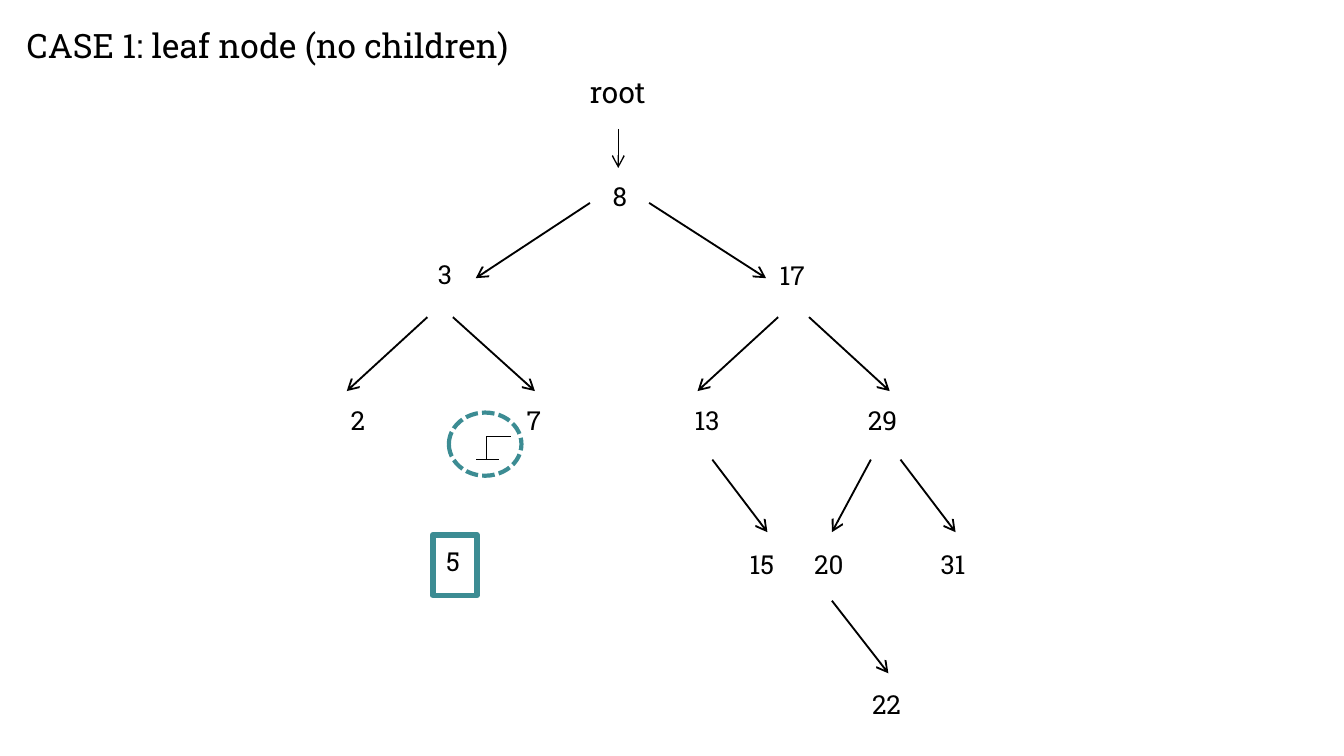
from pptx import Presentation
from pptx.dml.color import RGBColor
from pptx.enum.dml import MSO_LINE
from pptx.enum.shapes import MSO_CONNECTOR, MSO_SHAPE
from pptx.enum.text import MSO_ANCHOR, PP_ALIGN
from pptx.oxml.ns import qn
from pptx.util import Inches, Pt
from lxml.etree import SubElement

COLORS = {"ink": "000000", "accent": "3C8C93"}
FONT = "Roboto Slab"
WIDTH = 10
HEIGHT = WIDTH * 9 / 16
COLUMNS = 100
ROWS = COLUMNS * 9 / 16

NODE_LEVELS = [
    (12.9, [("8", 44.6, 2.2)]),
    (18.7, [("3", 31.6, 2.2)]),
    (29.6, [("2", 25.1, 2.2), ("7", 38.2, 2.2), ("13", 50.7, 5.5), ("29", 63.6, 6.1)]),
    (40.1, [("5", 32.2, 2.2)]),
    (40.3, [("15", 54.8, 6.1), ("20", 59.6, 5.5), ("31", 69, 6.1)]),
    (50.7, [("22", 63.9, 5.5)]),
]
EDGE_LEVELS = [
    (15.1, 20.7, [(43.9, 35.4), (48.3, 57)]),
    (23.6, 29.1, [(31.8, 25.8), (33.7, 39.8), (57.9, 51.9), (60.2, 66.2)]),
    (34.2, 39.6, [(53, 57.1), (64.8, 61.9), (67, 71.1)]),
    (44.7, 50.1, [(61.9, 66.1)]),
]
STEP_LINES = [
    (38, 32.5, 36.2, 32.5),
    (37.1, 34.2, 35.4, 34.2),
    (36.2, 32.5, 36.2, 34.2),
]


class TreeSlide:
    def __init__(self, presentation):
        self.slide = presentation.slides.add_slide(presentation.slide_layouts[6])
        self.column = presentation.slide_width / COLUMNS
        self.row = presentation.slide_height / ROWS

    def place(self, left, top, width, height):
        return (round(left * self.column), round(top * self.row),
                round(width * self.column), round(height * self.row))

    def label(self, text, left, top, width, size=14, height=5.7, margin=0.1):
        box = self.slide.shapes.add_textbox(*self.place(left, top, width, height))
        frame = box.text_frame
        frame.text = text
        frame.word_wrap = True
        frame.vertical_anchor = MSO_ANCHOR.TOP
        frame.margin_left = frame.margin_right = Inches(margin)
        paragraph = frame.paragraphs[0]
        paragraph.alignment = PP_ALIGN.LEFT
        font = paragraph.runs[0].font
        font.name = FONT
        font.size = Pt(size)
        font.color.rgb = RGBColor.from_string(COLORS["ink"])

    def line(self, start_x, start_y, end_x, end_y, weight=1, arrow=True, shapes=None):
        shapes = self.slide.shapes if shapes is None else shapes
        points = self.place(start_x, start_y, end_x, end_y)
        connector = shapes.add_connector(MSO_CONNECTOR.STRAIGHT, *points)
        connector.line.width = Pt(weight)
        connector.line.color.rgb = RGBColor.from_string(COLORS["ink"])
        properties = connector._element.spPr
        if arrow:
            SubElement(properties.find(qn("a:ln")), qn("a:tailEnd"), type="arrow")
        SubElement(properties, qn("a:effectLst"))

    def outline(self, kind, left, top, width, height, weight, dash=None):
        shape = self.slide.shapes.add_shape(kind, *self.place(left, top, width, height))
        shape.shadow.inherit = False
        shape.fill.background()
        shape.line.color.rgb = RGBColor.from_string(COLORS["accent"])
        shape.line.width = Pt(weight)
        if dash is not None:
            shape.line.dash_style = dash

    def step(self, lines):
        group = self.slide.shapes.add_group_shape()
        for points in lines:
            self.line(*points, weight=0.75, arrow=False, shapes=group.shapes)


def main():
    presentation = Presentation()
    presentation.slide_width = Inches(WIDTH)
    presentation.slide_height = Inches(HEIGHT)
    tree = TreeSlide(presentation)

    tree.label("CASE 1: leaf node (no children)", 1, 1.4, 40.5, size=18)
    tree.label("root", 42.9, 5, 8.5, size=16)
    tree.line(46, 9.6, 46, 12.5, weight=0.75)

    for top, nodes in NODE_LEVELS:
        for text, left, width in nodes:
            tree.label(text, left, top, width)
    tree.label("17", 58, 18.8, 4.5, height=5.3, margin=0)

    for top, bottom, edges in EDGE_LEVELS:
        for start, end in edges:
            tree.line(start, top, end, bottom)

    tree.outline(MSO_SHAPE.RECTANGLE, 32.2, 39.8, 3.3, 4.5, weight=3)
    tree.step(STEP_LINES)
    tree.outline(MSO_SHAPE.OVAL, 33.4, 30.7, 5.4, 4.7, weight=2.25,
                 dash=MSO_LINE.SQUARE_DOT)

    presentation.save("out.pptx")


if __name__ == "__main__":
    main()
